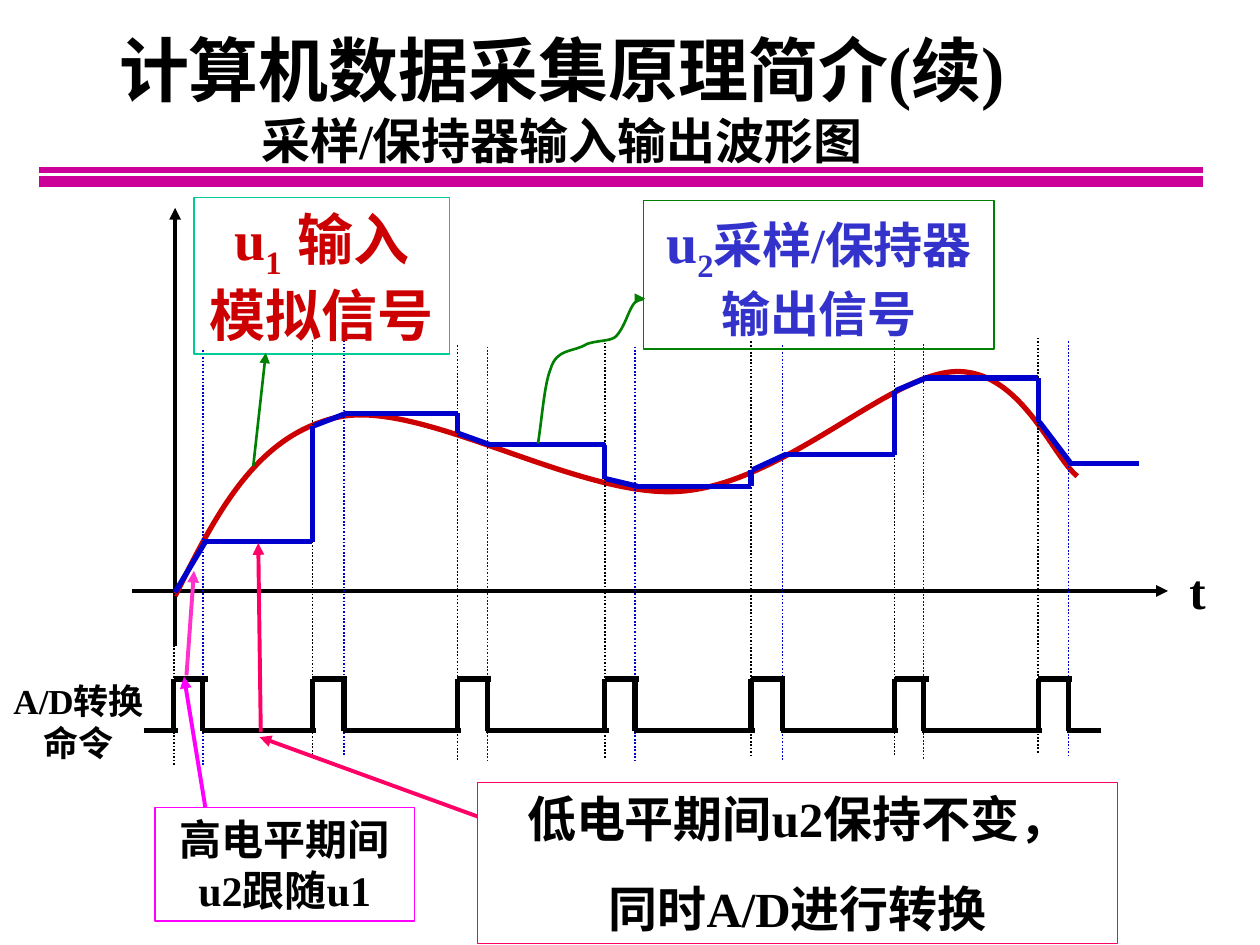
from collections import namedtuple
from pptx import Presentation
from pptx.dml.color import RGBColor
from pptx.enum.dml import MSO_LINE
from pptx.enum.shapes import MSO_CONNECTOR, MSO_SHAPE
from pptx.enum.text import MSO_ANCHOR, MSO_AUTO_SIZE, PP_ALIGN
from pptx.oxml.ns import qn
from pptx.util import Inches, Pt
from lxml.etree import SubElement

FONT = "Times New Roman"
BLACK = RGBColor(0, 0, 0)
RED = RGBColor(0xCC, 0, 0)
BLUE = RGBColor(0, 0, 0xCC)
VIOLET = RGBColor(0x33, 0x33, 0xCC)
PURPLE = RGBColor(0xCC, 0, 0x99)
MAGENTA = RGBColor(0xFF, 0, 0xFF)
PINK = RGBColor(0xFF, 0x33, 0xCC)
ROSE = RGBColor(0xFF, 0, 0x66)
GREEN = RGBColor(0, 0x80, 0)
TEAL = RGBColor(0, 0xCC, 0x99)

Box = namedtuple("Box", "x y w h")
RISE = (0.38, 1.48, 2.63, 3.8, 4.96, 6.1, 7.24)
FALL = (0.61, 1.73, 2.87, 4.04, 5.21, 6.33, 7.48)


def line(slide, box, start, end, color, width, arrow=False, dots=False):
    ends = [Inches(v) for v in (box.x + start[0], box.y + start[1],
                                box.x + end[0], box.y + end[1])]
    link = slide.shapes.add_connector(MSO_CONNECTOR.STRAIGHT, *ends)
    link.line.color.rgb = color
    link.line.width = Pt(width)
    if dots:
        link.line.dash_style = MSO_LINE.ROUND_DOT
    props = link._element.spPr
    if arrow:
        SubElement(props.find(qn("a:ln")), qn("a:tailEnd"), type="triangle")
    SubElement(props, qn("a:effectLst"))


def trace(slide, box, points, color, width):
    spots = [(Inches(box.x + x), Inches(box.y + y)) for x, y in points]
    build = slide.shapes.build_freeform(*spots[0])
    build.add_line_segments(spots[1:], close=False)
    shape = build.convert_to_shape()
    shape.shadow.inherit = False
    shape.fill.background()
    shape.line.color.rgb = color
    shape.line.width = Pt(width)
    return shape


def curve(slide, box, points, color, width):
    shape = trace(slide, box, points, color, width)
    route = next(shape._element.iter(qn("a:path")))
    legs = route.findall(qn("a:lnTo"))
    for first in range(0, len(legs), 3):
        bend = SubElement(route, qn("a:cubicBezTo"))
        for leg in legs[first:first + 3]:
            bend.append(leg[0])
            route.remove(leg)


def style(frame, size, color=BLACK, gap=0):
    frame.auto_size = MSO_AUTO_SIZE.NONE
    frame.vertical_anchor = MSO_ANCHOR.MIDDLE
    for index, para in enumerate(frame.paragraphs):
        para.alignment = PP_ALIGN.CENTER
        if index:
            para.space_before = Pt(gap)
        for run in para.runs:
            run.font.name = FONT
            run.font.size = Pt(size)
            run.font.bold = True
            run.font.color.rgb = color


def label(slide, box, text, size, wrap=True):
    frame = slide.shapes.add_textbox(*map(Inches, box)).text_frame
    frame.word_wrap = wrap
    frame.text = text
    style(frame, size)


def note(slide, box, text, size, edge, color=BLACK, gap=0):
    shape = slide.shapes.add_shape(MSO_SHAPE.RECTANGLE, *map(Inches, box))
    shape.shadow.inherit = False
    shape.fill.background()
    shape.line.color.rgb = edge
    shape.line.width = Pt(0.75)
    frame = shape.text_frame
    frame.word_wrap = True
    frame.text = text
    style(frame, size, color, gap)
    return frame


def signal(slide, box, mark, rest, size, edge, color):
    frame = note(slide, box, "u", 32, edge, color)
    para = frame.paragraphs[0]
    sub, tail = para.add_run(), para.add_run()
    sub.text, tail.text = mark, rest
    style(frame, 32, color)
    tail.font.size = Pt(size)
    sub.font._element.set("baseline", "-25000")


def header(slide, box):
    title = slide.shapes.title
    title.left, title.top, title.width, title.height = map(Inches, box)
    frame = title.text_frame
    frame.text = "计算机数据采集原理简介(续)\v采样/保持器输入输出波形图"
    style(frame, 40)
    frame.paragraphs[0].runs[1].font.size = Pt(28)


def rule(slide, box):
    line(slide, box, (0, 0), (box.w, 0), PURPLE, 3)
    line(slide, box, (0, box.h), (box.w, box.h), PURPLE, 6)


def axes(slide, box):
    line(slide, box, (0.05, 3.19), (8.27, 3.19), BLACK, 2.25, arrow=True)
    line(slide, box, (0.39, 3.63), (0.39, 0.15), BLACK, 2.25, arrow=True)
    label(slide, Box(box.x + 8.34, box.y + 2.9, 0.33, 0.57), "t", 28, False)


def wave(slide, box):
    curve(slide, box, [
        (0.39, 3.23),
        (0.71, 2.59), (1.03, 1.95), (1.69, 1.81),
        (2.36, 1.67), (3.59, 2.46), (4.4, 2.4),
        (5.22, 2.34), (6.05, 1.47), (6.58, 1.45),
        (7.1, 1.43), (7.35, 2.12), (7.55, 2.28)], RED, 3)


def guides(slide, box):
    highs = (2.93, 1.2, 1.24, 1.22, 1.21, 1.2, 1.18)
    lows = (1.28, 1.2, 1.25, 1.25, 1.24, 1.23, 1.21)
    for times, tops, color in ((RISE, highs, BLACK), (FALL, lows, BLUE)):
        for x, top in zip(times, tops):
            end = min(top + 3.3, 4.58)
            line(slide, box, (x, top), (x, end), color, 1, dots=True)


def pulses(slide, box):
    low = box.h
    for up, down in zip(RISE, FALL):
        line(slide, box, (up - 0.24, low), (up + 0.03, low), BLACK, 3)
        line(slide, box, (up, 0), (up + 0.27, 0), BLACK, 3)
        line(slide, box, (down - 0.01, low), (down + 0.26, low), BLACK, 3)
        line(slide, box, (up, low + 0.02), (up, 0), BLACK, 3)
        line(slide, box, (down, low), (down, 0), BLACK, 3)
    for down in FALL[:-1]:
        line(slide, box, (down + 0.17, low), (down + 0.74, low), BLACK, 3)


def held(slide, box):
    starts = (3.2, 1.88, 1.94, 2.3, 2.23, 1.6, 1.85)
    holds = (2.8, 1.78, 2.03, 2.36, 2.11, 1.5, 2.18)
    nexts = RISE[1:] + (8.04,)
    before = starts[0]
    for up, down, after, start, hold in zip(RISE, FALL, nexts, starts, holds):
        if before != start:
            line(slide, box, (up, before), (up, start), BLUE, 3)
        trace(slide, box, [(up + 0.01, start), (down + 0.02, hold)], BLUE, 3)
        line(slide, box, (down + 0.01, hold), (after, hold), BLUE, 3)
        before = hold


def follow(slide, box):
    note(slide, box, "高电平期间u2跟随u1", 24, MAGENTA)
    line(slide, box, (0.4, 0), (0.23, -1.04), MAGENTA, 2.25, arrow=True)
    line(slide, box, (0.25, -1.05), (0.31, -1.88), PINK, 2.25, arrow=True)


def keep(slide, box):
    note(slide, box, "低电平期间u2保持不变，\n同时A/D进行转换", 28, ROSE, gap=17.5)
    line(slide, box, (0, 0.27), (-1.73, -0.36), ROSE, 2.25, arrow=True)
    line(slide, box, (-1.72, -0.4), (-1.74, -1.9), ROSE, 2.25, arrow=True)


def source(slide, box):
    signal(slide, box, "1  ", "输入模拟信号", 32, TEAL, RED)
    line(slide, box, (0.47, 2.13), (0.57, 1.23), GREEN, 1.5, arrow=True)


def output(slide, box):
    signal(slide, box, "2", "采样/保持器输出信号", 28, GREEN, VIOLET)
    curve(slide, box, [
        (-0.84, 1.93),
        (-0.81, 1.75), (-0.79, 1.46), (-0.74, 1.34),
        (-0.69, 1.17), (-0.56, 1.21), (-0.45, 1.14),
        (-0.36, 1.11), (-0.26, 1.12), (-0.22, 1.08),
        (-0.12, 0.97), (-0.11, 0.77), (-0.01, 0.79)], GREEN, 1.5)
    line(slide, box, (-0.03, 0.78), (0.01, 0.78), GREEN, 1.5, arrow=True)


def main():
    deck = Presentation()
    deck.slide_width, deck.slide_height = Inches(10), Inches(7.5)
    slide = deck.slides.add_slide(deck.slide_layouts[5])
    plot = Box(1, 1.5, 8.5, 4.6)
    axes(slide, plot)
    wave(slide, plot)
    header(slide, Box(0.21, -0.08, 8.5, 1.71))
    rule(slide, Box(0.31, 1.35, 9.24, 0.09))
    guides(slide, plot)
    label(slide, Box(0, 5.34, 1.25, 0.77), "A/D转换命令", 20)
    pulses(slide, Box(1, 5.39, 7.75, 0.41))
    held(slide, plot)
    follow(slide, Box(1.23, 6.41, 2.06, 0.9))
    keep(slide, Box(3.79, 6.21, 5.08, 1.28))
    source(slide, Box(1.54, 1.57, 2.03, 1.24))
    output(slide, Box(5.11, 1.59, 2.78, 1.18))
    deck.save("out.pptx")


if __name__ == "__main__":
    main()
